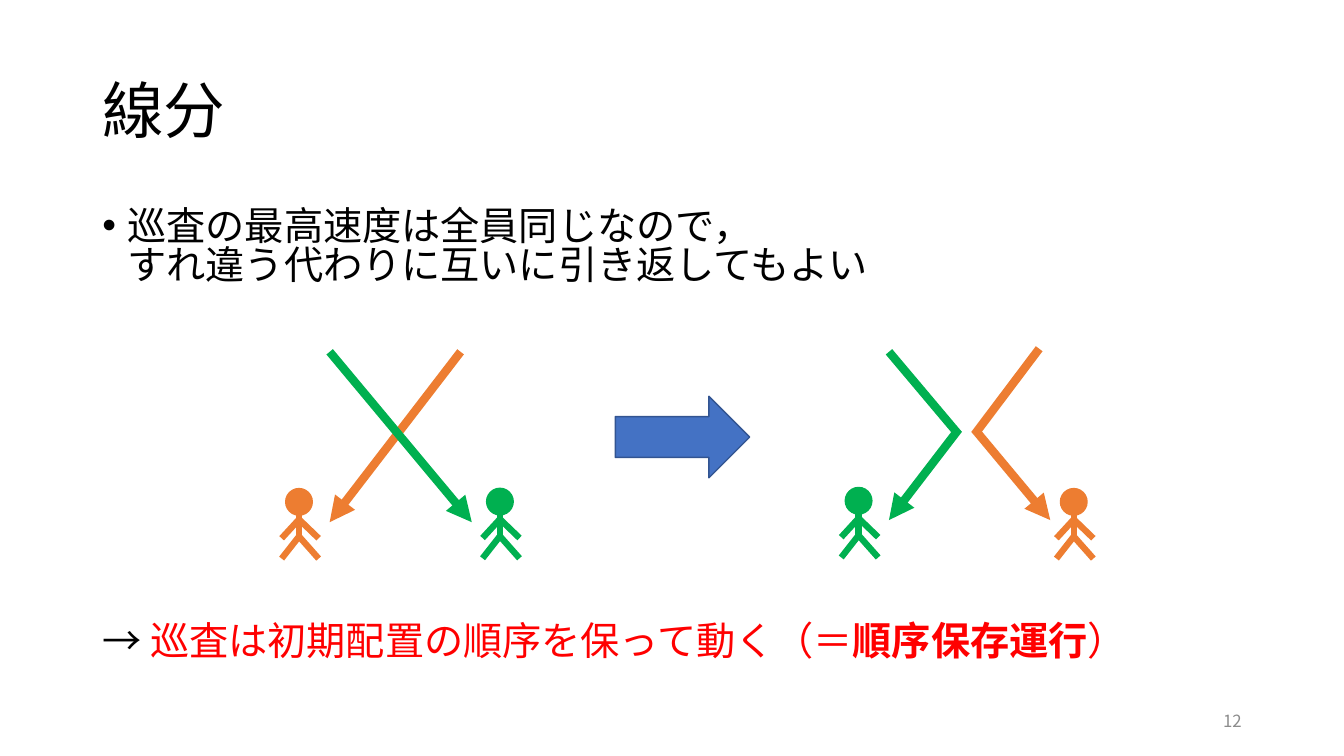
import lxml.etree
import pptx
import pptx.util
import pptx.dml.color
import pptx.enum.shapes
import pptx.enum.text
import pptx.oxml.ns

Pt = pptx.util.Pt
Color = pptx.dml.color.RGBColor
Shape = pptx.enum.shapes.MSO_SHAPE
Align = pptx.enum.text.PP_ALIGN
Anchor = pptx.enum.text.MSO_ANCHOR

BLACK = Color(0, 0, 0)
RED = Color(0xFF, 0, 0)
GRAY = Color(0x8C, 0x8C, 0x8C)
ORANGE = Color(0xED, 0x7D, 0x31)
GREEN = Color(0x00, 0xB0, 0x50)
BLUE = Color(0x44, 0x72, 0xC4)
NAVY = Color(0x32, 0x54, 0x91)


class Board:
    font = "Noto Sans CJK JP"

    def __init__(self, slide):
        self.slide = slide

    def child(self, node, tag, **attrs):
        lxml.etree.SubElement(node, pptx.oxml.ns.qn(tag), attrs)

    def text(self, box, runs, size, space=1.0, anchor=Anchor.TOP,
             align=Align.LEFT, bullet=False):
        frame = self.slide.shapes.add_textbox(*map(Pt, box)).text_frame
        frame.word_wrap = True
        frame.vertical_anchor = anchor
        para = frame.paragraphs[0]
        para.alignment = align
        para.line_spacing = space
        if bullet:
            props = para._p.get_or_add_pPr()
            props.set("marL", str(Pt(18)))
            props.set("indent", str(-Pt(18)))
            self.child(props, "a:buFont", typeface="Arial")
            self.child(props, "a:buChar", char="•")
        for words, color, bold in runs:
            for i, line in enumerate(words.split("\n")):
                if i:
                    para.add_line_break()
                run = para.add_run()
                run.text = line
                run.font.size = Pt(size)
                run.font.bold = bold
                run.font.color.rgb = color
                run.font.name = self.font
                self.child(run._r.get_or_add_rPr(), "a:ea", typeface=self.font)

    def line(self, start, end, color, width=6, arrow=False):
        link = self.slide.shapes.add_connector(
            pptx.enum.shapes.MSO_CONNECTOR.STRAIGHT, *map(Pt, start + end))
        link.line.color.rgb = color
        link.line.width = Pt(width)
        props = link._element.spPr
        if arrow:
            self.child(props.get_or_add_ln(), "a:tailEnd", type="triangle")
        self.child(props, "a:effectLst")

    def shape(self, kind, box, fill, edge):
        item = self.slide.shapes.add_shape(kind, *map(Pt, box))
        item.shadow.inherit = False
        item.fill.solid()
        item.fill.fore_color.rgb = fill
        item.line.color.rgb = edge
        item.line.width = Pt(1)

    def guard(self, x, y, color):
        self.shape(Shape.OVAL, (x - 9.5, y, 19, 19), color, color)
        limbs = [((0, 18), (0, 35.5))]
        for joint, tip in ((22, 35.5), (34.2, 50)):
            limbs += [((0, joint), (side, tip)) for side in (14, -12.4)]
        for (ax, ay), (bx, by) in limbs:
            self.line((x + ax, y + ay), (x + bx, y + by), color, 4.5)


def main():
    deck = pptx.Presentation()
    deck.slide_width, deck.slide_height = Pt(960), Pt(540)
    board = Board(deck.slides.add_slide(deck.slide_layouts[6]))

    board.text((66, 28.8, 828, 104.4), [("線分", BLACK, False)], 44,
               space=0.9, anchor=Anchor.MIDDLE)
    board.text((66, 146, 828, 80),
               [("巡査の最高速度は全員同じなので，\nすれ違う代わりに互いに引き返してもよい",
                 BLACK, False)], 28, space=0.83, bullet=True)
    board.text((66, 442, 828, 44),
               [("→ ", BLACK, False),
                ("巡査は初期配置の順序を保って動く（＝", RED, False),
                ("順序保存運行", RED, True),
                ("）", RED, False)], 28, space=0.83)

    for start, end, color, arrow in (
            ((329, 251.3), (235.5, 373), ORANGE, True),
            ((235.5, 251.3), (337, 373), GREEN, True),
            ((684.7, 306.7), (635, 371.5), GREEN, True),
            ((696.2, 306.7), (750.2, 371.5), ORANGE, True),
            ((684.7, 310.3), (635, 251.3), GREEN, False),
            ((696.2, 310.3), (742.3, 249.1), ORANGE, False)):
        board.line(start, end, color, arrow=arrow)

    board.shape(Shape.RIGHT_ARROW, (439.5, 283, 96, 58.3), BLUE, NAVY)

    for x, y, color in ((357.1, 348.8, GREEN), (213.6, 349, ORANGE),
                        (767, 349, ORANGE), (613.3, 348.2, GREEN)):
        board.guard(x, y, color)

    board.text((678, 500.5, 216, 28.8), [("12", GRAY, False)], 12,
               anchor=Anchor.MIDDLE, align=Align.RIGHT)
    deck.save("out.pptx")


if __name__ == "__main__":
    main()
